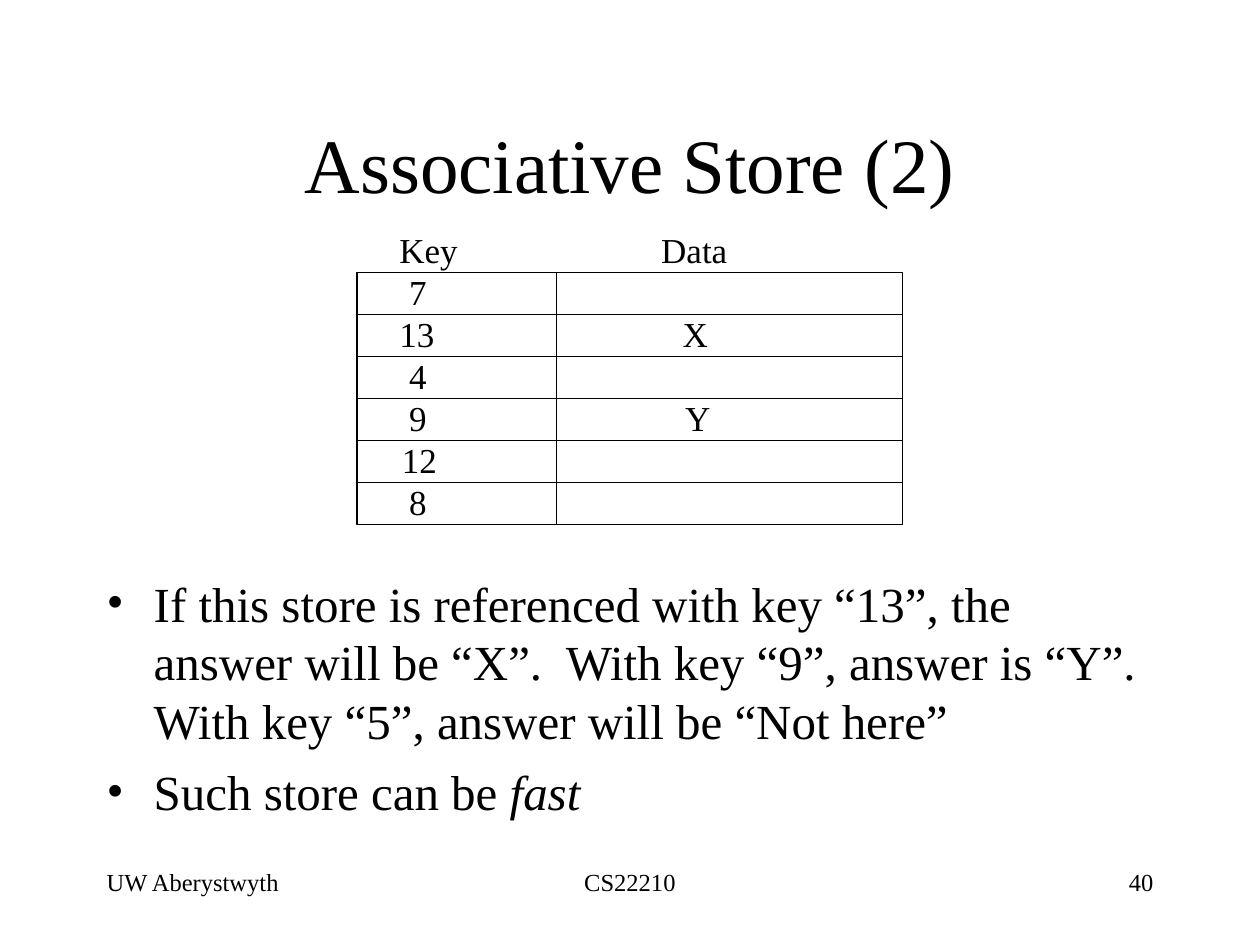
from dataclasses import dataclass

from lxml.etree import SubElement
from pptx import Presentation
from pptx.dml.color import RGBColor
from pptx.enum.shapes import MSO_CONNECTOR, MSO_SHAPE
from pptx.enum.text import MSO_ANCHOR, PP_ALIGN
from pptx.oxml.ns import qn
from pptx.util import Cm, Pt


@dataclass(frozen=True)
class Theme:
    font: str = "Times New Roman"
    ink: RGBColor = RGBColor(0, 0, 0)
    title: Pt = Pt(44)
    body: Pt = Pt(28)
    label: Pt = Pt(20)
    footer: Pt = Pt(14)
    rule: Pt = Pt(0.75)


theme = Theme()
presentation = Presentation()
presentation.slide_width, presentation.slide_height = Cm(25.4), Cm(19.05)
slide = presentation.slides.add_slide(presentation.slide_layouts[6])


def style(paragraph, size, align=PP_ALIGN.LEFT):
    paragraph.alignment = align
    paragraph.font.name = theme.font
    paragraph.font.size = size
    paragraph.font.color.rgb = theme.ink


def add_text(text, left, top, width, height, size, align=PP_ALIGN.LEFT):
    frame = slide.shapes.add_textbox(Cm(left), Cm(top), Cm(width), Cm(height)).text_frame
    frame.word_wrap = True
    frame.text = text
    style(frame.paragraphs[0], size, align)
    return frame


heading = add_text("Associative Store (2)", 1.9, 1.7, 21.6, 3.18, theme.title, PP_ALIGN.CENTER)
heading.vertical_anchor = MSO_ANCHOR.MIDDLE

explanation = add_text(
    "If this store is referenced with key “13”, the answer will be “X”.  "
    "With key “9”, answer is “Y”. With key “5”, answer will be “Not here”",
    1.9, 11.43, 21.6, 5.5, theme.body)
speed = explanation.add_paragraph()
speed.add_run().text = "Such store can be "
emphasis = speed.add_run()
emphasis.text = "fast"
emphasis.font.italic = True
for point in explanation.paragraphs:
    properties = point._p.get_or_add_pPr()
    properties.set("marL", str(Cm(0.95)))
    properties.set("indent", str(Cm(-0.95)))
    SubElement(properties, qn("a:buFont"), typeface=theme.font)
    SubElement(properties, qn("a:buChar"), char="•")
    style(point, theme.body)
speed.space_before = Pt(7)

store_left, store_top, store_width, store_height = 7.2, 5.5, 11, 5.08
row_count = 6
row_height = store_height / row_count
store_right, store_bottom = store_left + store_width, store_top + store_height
column_split = 11.22

store = slide.shapes.add_shape(
    MSO_SHAPE.RECTANGLE, Cm(store_left), Cm(store_top), Cm(store_width), Cm(store_height))
store.shadow.inherit = False
store.fill.background()
store.line.color.rgb = theme.ink
store.line.width = theme.rule

dividers = [(column_split, store_top, column_split, store_bottom)]
for row in range(1, row_count):
    y = store_top + row * row_height
    dividers.append((store_left, y, store_right, y))
for index, ends in enumerate(dividers):
    divider = slide.shapes.add_connector(MSO_CONNECTOR.STRAIGHT, *map(Cm, ends))
    divider.line.color.rgb = theme.ink
    divider.line.width = theme.rule
    SubElement(divider._element.spPr, qn("a:effectLst"))
    if index == row_count // 2:
        divider.begin_connect(store, 1)
        divider.end_connect(store, 3)

entries = [
    ("Key", -1, 7.8, 1.8), ("Data", -1, 13.08, 2),
    ("7", 0, 8, 1), ("13", 1, 7.8, 1.4), ("4", 2, 8, 1),
    ("9", 3, 8, 1), ("12", 4, 7.85, 1.4), ("8", 5, 8, 1),
    ("X", 1, 13.51, 1.2), ("Y", 3, 13.56, 1.2),
]
for text, row, left, width in entries:
    add_text(text, left, store_top - 0.18 + row * row_height, width, 1.11, theme.label)

for text, left, width, align in [
    ("CS22210", 8.68, 8.04, PP_ALIGN.CENTER),
    ("40", 18.2, 5.3, PP_ALIGN.RIGHT),
    ("UW Aberystwyth", 1.9, 5.3, PP_ALIGN.LEFT),
]:
    add_text(text, left, 17.36, width, 1.27, theme.footer, align)

presentation.save("out.pptx")
